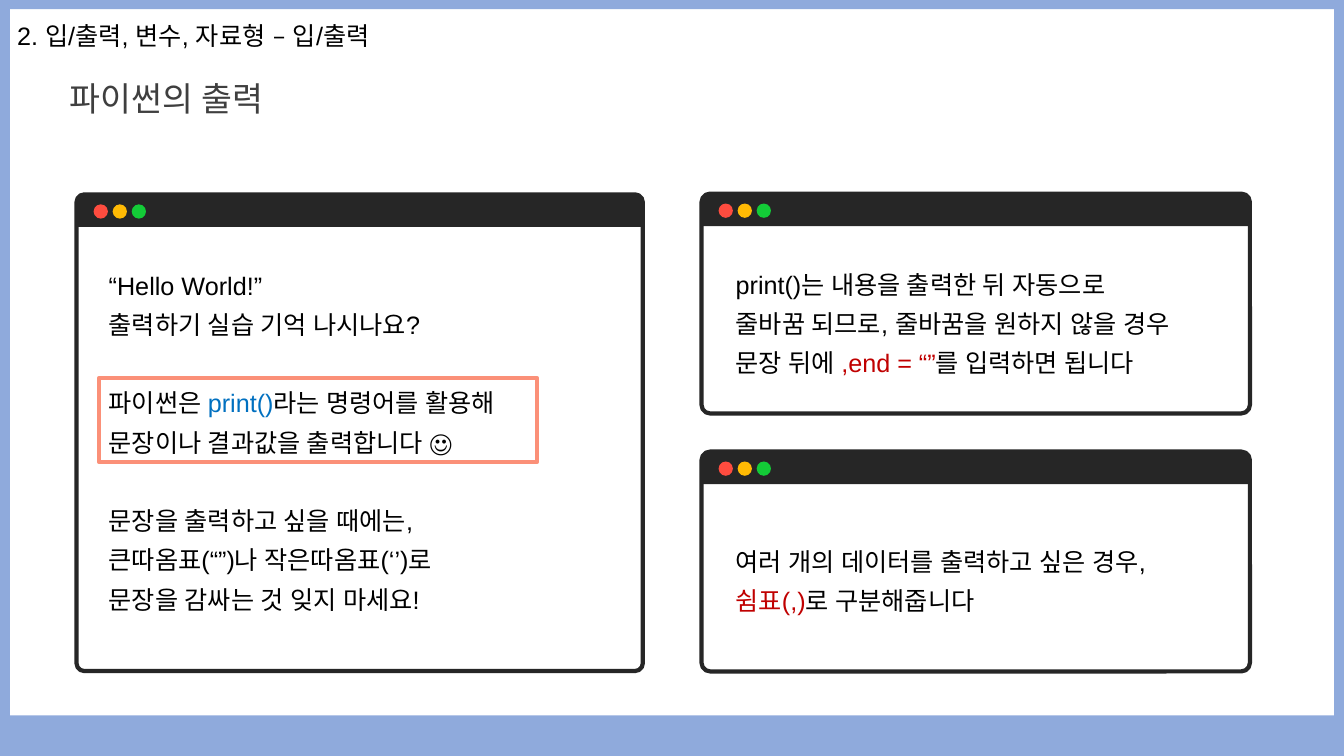
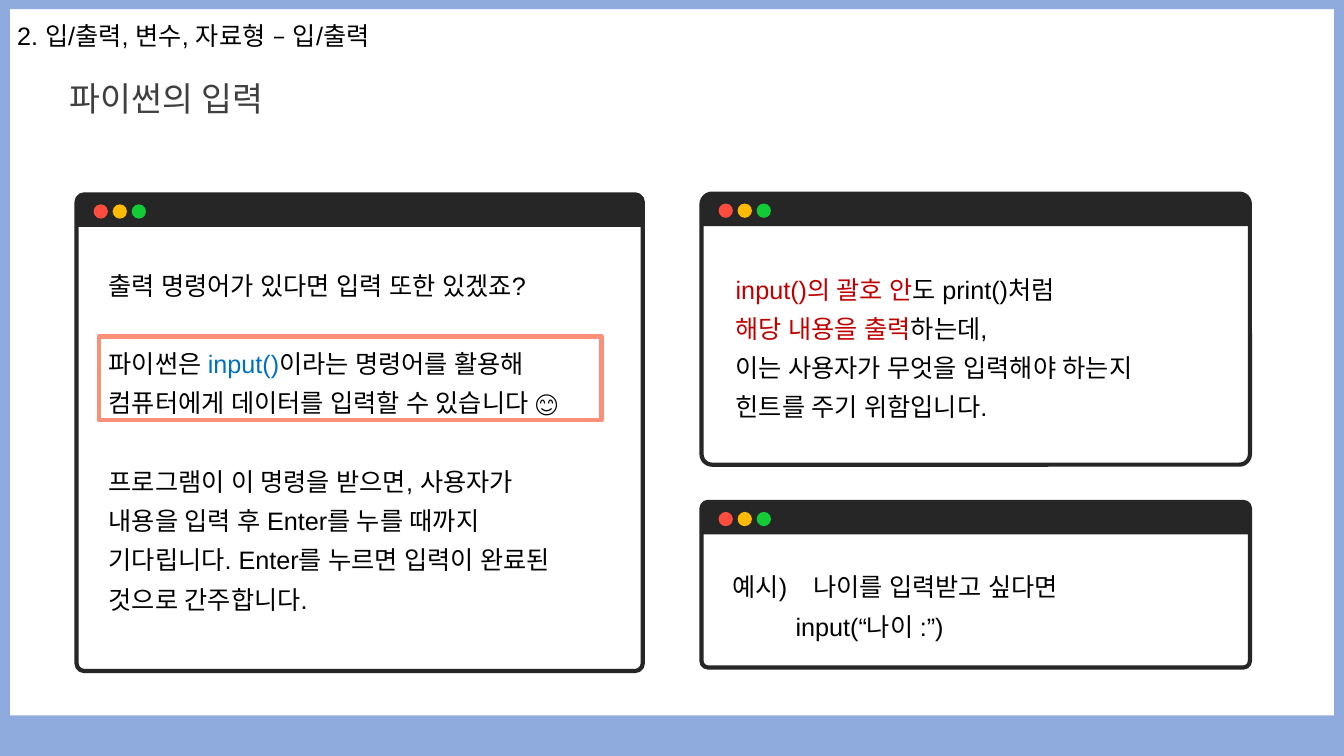
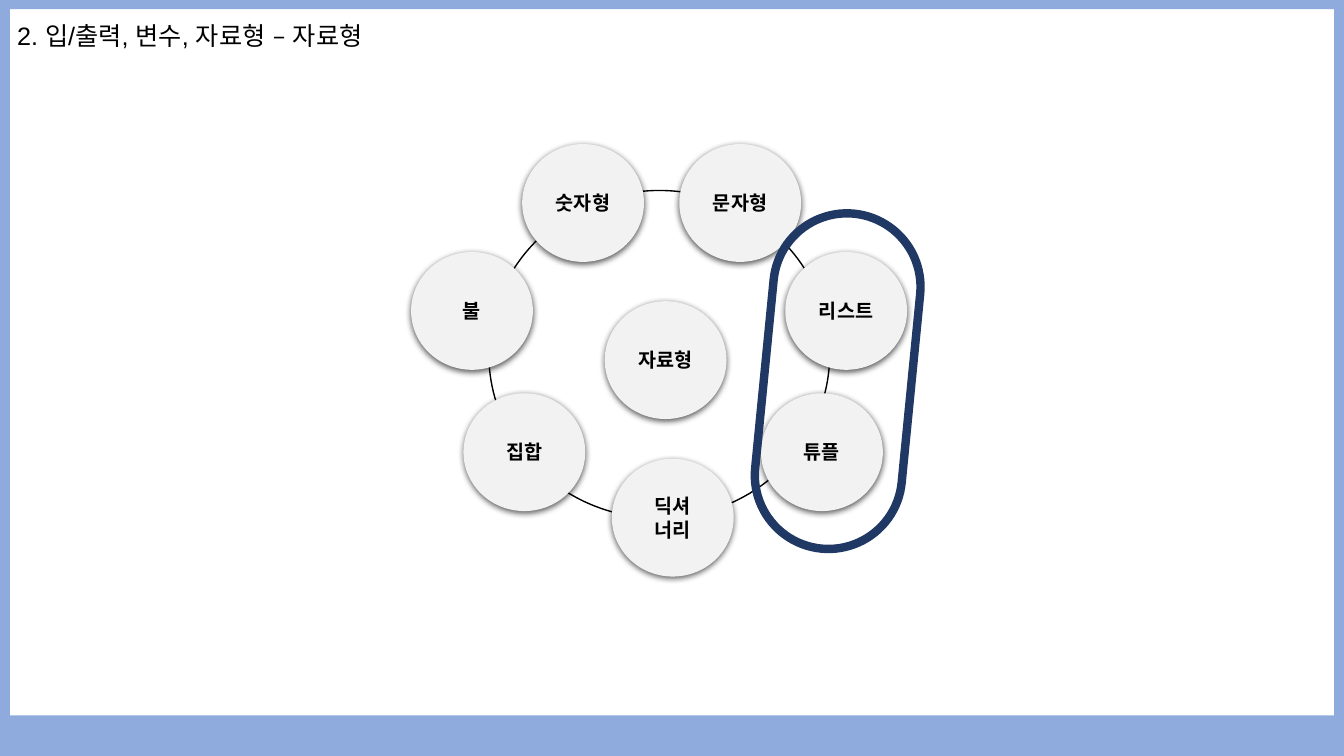
from lxml import etree
from pptx import Presentation
from pptx.dml.color import RGBColor
from pptx.enum.shapes import MSO_SHAPE as Preset
from pptx.enum.text import MSO_ANCHOR as Anchor, PP_ALIGN as Align
from pptx.oxml.ns import qn
from pptx.util import Cm, Pt

BAND = RGBColor(0x8F, 0xAA, 0xDC)
DARK = RGBColor(0x26, 0x26, 0x26)
GREY = RGBColor(0x3F, 0x3F, 0x3F)
BLACK = RGBColor(0x00, 0x00, 0x00)
BLUE = RGBColor(0x00, 0x70, 0xC0)
RED = RGBColor(0xC0, 0x00, 0x00)
CORAL = RGBColor(0xFB, 0x90, 0x78)
DISC = RGBColor(0xF2, 0xF2, 0xF2)
NAVY = RGBColor(0x20, 0x38, 0x64)
DOTS = [RGBColor(0xFE, 0x4C, 0x3F), RGBColor(0xFF, 0xBA, 0x04), RGBColor(0x13, 0xCB, 0x37)]
HANGUL_FONT = "Lato"
BLOCK_GAP = Pt(28)


def draw(shapes, preset, place, fill=None, line=None, weight=3, corner=None):
    """Add a preset shape; place is left, top, width, height in cm."""
    shape = shapes.add_shape(preset, *(Cm(length) for length in place))
    shape.shadow.inherit = False
    if corner is not None:
        shape.adjustments[0] = corner
    if fill is None:
        shape.fill.background()
    else:
        shape.fill.solid()
        shape.fill.fore_color.rgb = fill
    if line is None:
        shape.line.fill.background()
    else:
        shape.line.color.rgb = line
        shape.line.width = Pt(weight)
    return shape


def write(frame, blocks, font="Arial", size=18, colour=BLACK, bold=False, spacing=1.3, align=Align.LEFT):
    """Write blocks of lines; a line is a string or a list of (text, colour) spans."""
    frame.word_wrap = True
    lines = [(line, number > 0 and line is block[0])
             for number, block in enumerate(blocks) for line in block]
    for index, (line, opens_block) in enumerate(lines):
        para = frame.add_paragraph() if index else frame.paragraphs[0]
        para.alignment = align
        para.line_spacing = spacing
        if opens_block:
            para.space_before = BLOCK_GAP
        for text, shade in [(line, colour)] if isinstance(line, str) else line:
            span = para.add_run()
            span.text = text
            span.font.name = font
            span.font.size = Pt(size)
            span.font.bold = bold
            span.font.color.rgb = shade
            east_asian = etree.SubElement(span.font._element, qn("a:ea"))
            east_asian.set("typeface", HANGUL_FONT)


deck = Presentation()
deck.slide_width = Cm(33.87)
deck.slide_height = Cm(19.05)
blank = deck.slide_layouts[6]
for placeholder in list(blank.placeholders):
    blank.shapes.element.remove(placeholder.element)

# Slides with their section headings
pages = []
for topic in ["입/출력", "입/출력", "자료형"]:
    page = deck.slides.add_slide(blank)
    heading = page.shapes.add_textbox(0, 0, Cm(12), Cm(1.27)).text_frame
    heading.margin_left = Cm(0.43)
    write(heading, [[f"2. 입/출력, 변수, 자료형 – {topic}"]], spacing=1.5)
    pages.append(page)

# Frame bands, kept on the shared layout
for place in [(0, 18.03, 33.87, 1.02), (0, 0, 33.87, 0.23),
              (0, 0, 0.25, 19.05), (33.62, 0, 0.25, 19.05)]:
    band = draw(pages[0].shapes, Preset.RECTANGLE, place, fill=BAND)
    blank.shapes.element.append(band.element)

# Lessons: windows are (left, top, width, height, corner), texts are (left, top, width, height, blocks)
LEFT_WINDOW = (1.93, 4.9, 14.27, 12.01, 0.016)
lessons = [
    ("파이썬의 출력",
     [LEFT_WINDOW, (17.68, 4.88, 13.82, 5.54, 0.039), (17.68, 11.38, 13.82, 5.54, 0.039)],
     [(2.49, 6.45, 16.94, 9.27, [
         ["“Hello World!”", "출력하기 실습 기억 나시나요?"],
         [[("파이썬은 ", BLACK), ("print()", BLUE), ("라는 명령어를 활용해", BLACK)],
          "문장이나 결과값을 출력합니다 ☺️"],
         ["문장을 출력하고 싶을 때에는,", "큰따옴표(“”)나 작은따옴표(‘’)로", "문장을 감싸는 것 잊지 마세요!"]]),
      (18.29, 13.41, 15, 2.26, [
          ["여러 개의 데이터를 출력하고 싶은 경우,", [("쉼표(,)", RED), ("로 구분해줍니다", BLACK)]]]),
      (18.29, 6.43, 15, 3.25, [
          ["print()는 내용을 출력한 뒤 자동으로", "줄바꿈 되므로, 줄바꿈을 원하지 않을 경우",
           [("문장 뒤에 ", BLACK), (",end = “”", RED), ("를 입력하면 됩니다", BLACK)]]])],
     (2.49, 9.53, 11.05, 2.11)),
    ("파이썬의 입력",
     [LEFT_WINDOW, (17.68, 4.88, 13.82, 6.83, 0.039), (17.68, 12.65, 13.82, 4.17, 0.039)],
     [(2.49, 6.45, 16.94, 9.27, [
         ["출력 명령어가 있다면 입력 또한 있겠죠?"],
         [[("파이썬은 ", BLACK), ("input()", BLUE), ("이라는 명령어를 활용해", BLACK)],
          "컴퓨터에게 데이터를 입력할 수 있습니다 😊"],
         ["프로그램이 이 명령을 받으면, 사용자가", "내용을 입력 후 Enter를 누를 때까지",
          "기다립니다. Enter를 누르면 입력이 완료된", "것으로 간주합니다."]]),
      (18.29, 6.55, 15, 4.27, [
          [[("input()의 괄호 안", RED), ("도 print()처럼", BLACK)],
           [("해당 내용을 출력", RED), ("하는데,", BLACK)],
           "이는 사용자가 무엇을 입력해야 하는지", "힌트를 주기 위함입니다."]]),
      (18.21, 14.05, 15, 2.26, [["예시)\t나이를 입력받고 싶다면", "input(“나이 :”)"]])],
     (2.49, 8.48, 12.67, 2.11)),
]
for page, (title, windows, texts, highlight) in zip(pages, lessons):
    title_box = page.shapes.add_textbox(Cm(1.5), Cm(1.83), Cm(9.04), Cm(1.27))
    write(title_box.text_frame, [[title]], font="Lato", size=24, colour=GREY, spacing=1.0)
    for left, top, width, height, corner in windows:
        window = page.shapes.add_group_shape().shapes
        draw(window, Preset.ROUNDED_RECTANGLE, (left, top, width, height), line=DARK, corner=corner)
        draw(window, Preset.RECTANGLE, (left, top + 0.18, width, 0.64), fill=DARK)
        draw(window, Preset.ROUNDED_RECTANGLE, (left, top + 0.03, width, 0.74), fill=DARK, corner=0.23)
        for index, colour in enumerate(DOTS):
            draw(window, Preset.OVAL, (left + 0.43 + 0.48 * index, top + 0.25, 0.36, 0.36), fill=colour)
    for *place, blocks in texts:
        box = page.shapes.add_textbox(*(Cm(length) for length in place))
        write(box.text_frame, blocks)
    draw(page.shapes, Preset.RECTANGLE, highlight, line=CORAL)

# Example lines: a tab stop after the label, an indent for the code (box is the last one written)
label_line, code_line = box.text_frame.paragraphs
tabs = etree.SubElement(label_line._p.get_or_add_pPr(), qn("a:tabLst"))
etree.SubElement(tabs, qn("a:tab"), pos=str(Cm(2.04)), algn="l")
code_line._p.get_or_add_pPr().set("marL", str(Cm(1.59)))

# Data types around a ring
page = pages[2]
draw(page.shapes, Preset.OVAL, (12.32, 4.8, 8.59, 8.26), line=BLACK, weight=1)
data_types = [
    (["자료형"], 15.24, 7.59), (["숫자형"], 13.16, 3.63), (["문자형"], 17.12, 3.63),
    (["리스트"], 19.79, 6.35), (["튜플"], 19.18, 9.91), (["불"], 10.36, 6.35),
    (["딕셔", "너리"], 15.42, 11.56), (["집합"], 11.68, 9.91),
]
for lines, left, top in data_types:
    disc = draw(page.shapes, Preset.OVAL, (left, top, 3.07, 2.97), fill=DISC)
    effects = disc.element.spPr.find(qn("a:effectLst"))
    shadow = etree.SubElement(effects, qn("a:outerShdw"), blurRad=str(Pt(4.5)), dist=str(Pt(1.5)),
                              dir="5400000", algn="t", rotWithShape="0")
    shade = etree.SubElement(shadow, qn("a:srgbClr"), val=str(BLACK))
    etree.SubElement(shade, qn("a:alpha"), val="63000")
    disc.text_frame.vertical_anchor = Anchor.MIDDLE
    write(disc.text_frame, [lines], font="Noto Sans CJK KR", size=14, bold=True,
          spacing=1.0, align=Align.CENTER)

# Pill around list and tuple
pill = draw(page.shapes, Preset.ROUNDED_RECTANGLE, (16.87, 7.75, 8.48, 3.71), line=NAVY, weight=6, corner=0.5)
pill.rotation = 95.6

deck.save("out.pptx")
